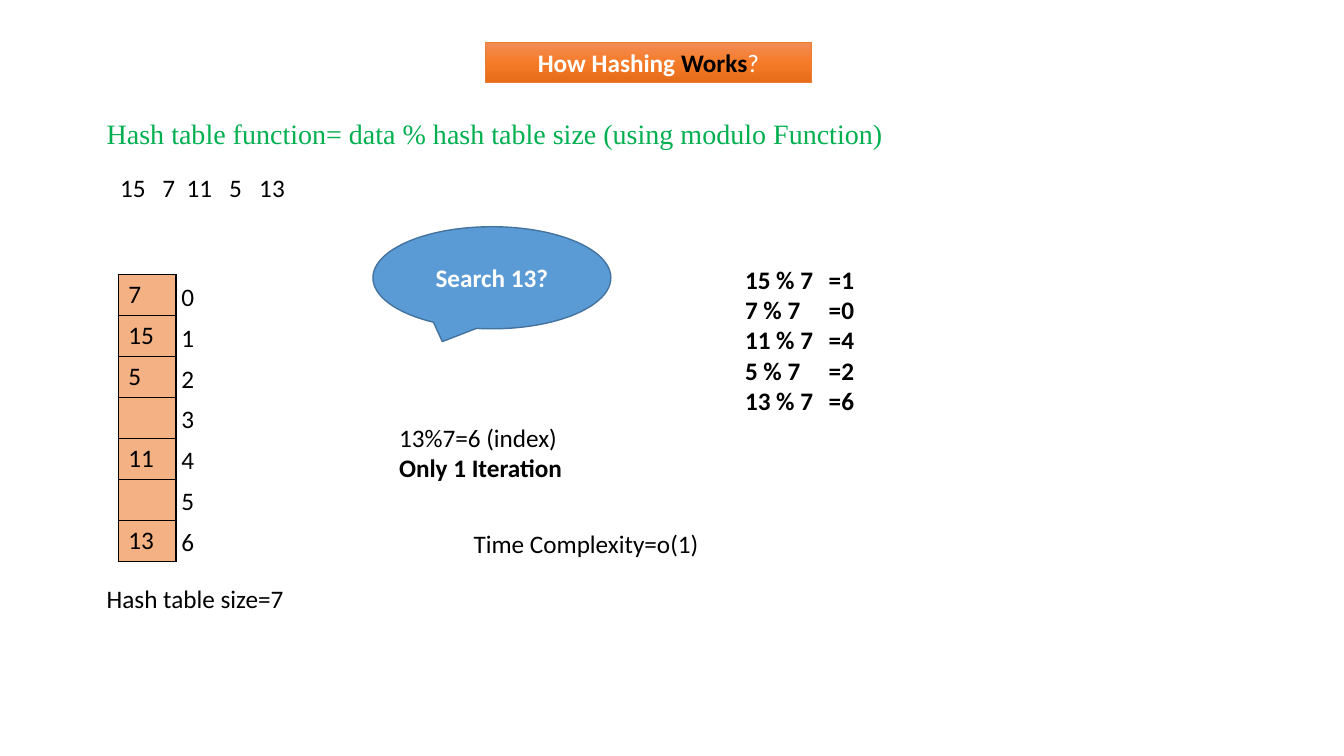
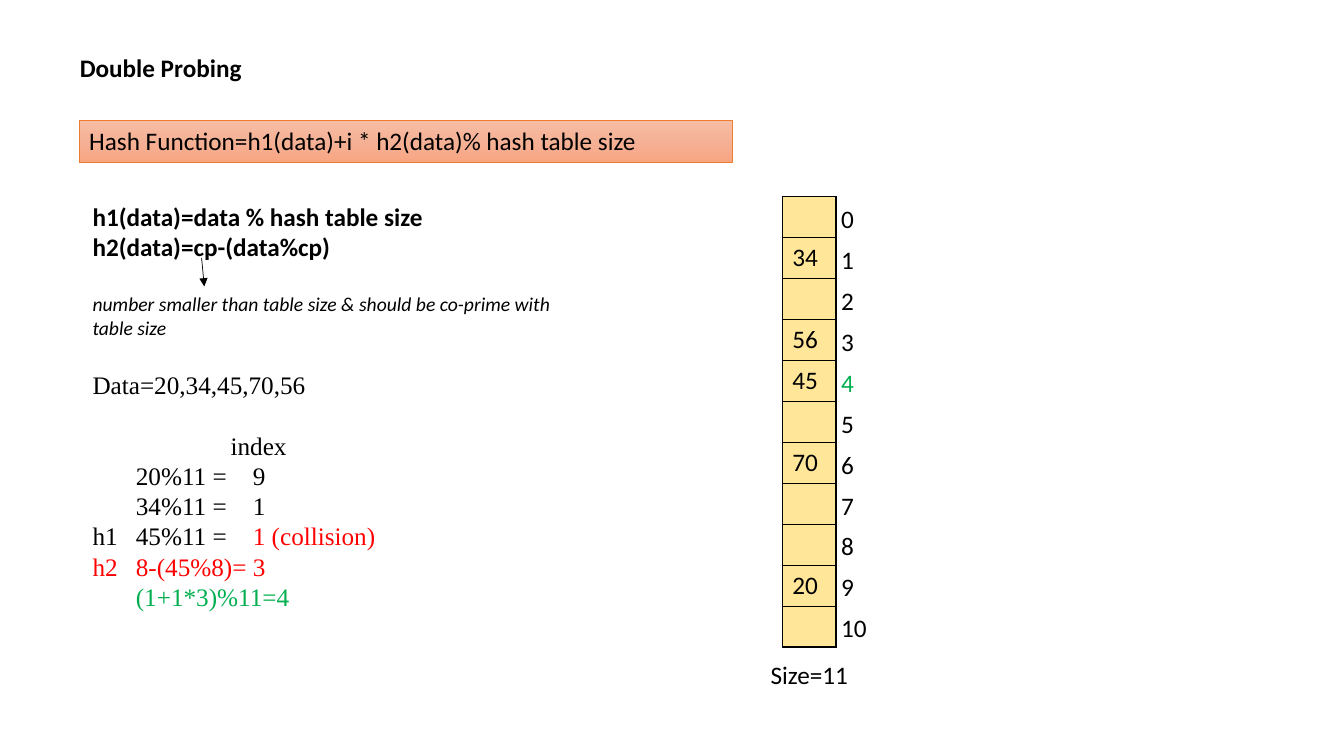
from copy import deepcopy

from lxml import etree
from pptx import Presentation
from pptx.dml.color import RGBColor
from pptx.enum.shapes import MSO_CONNECTOR, MSO_SHAPE
from pptx.enum.text import MSO_ANCHOR, PP_ALIGN
from pptx.oxml.ns import qn
from pptx.util import Inches, Pt

RECT, CALLOUT = MSO_SHAPE.RECTANGLE, MSO_SHAPE.OVAL_CALLOUT
STRAIGHT = MSO_CONNECTOR.STRAIGHT
LEFT, CENTER = PP_ALIGN.LEFT, PP_ALIGN.CENTER
TOP, MIDDLE = MSO_ANCHOR.TOP, MSO_ANCHOR.MIDDLE

BLACK = RGBColor(0x00, 0x00, 0x00)
WHITE = RGBColor(0xFF, 0xFF, 0xFF)
GREEN = RGBColor(0x00, 0xB0, 0x50)
RED = RGBColor(0xFF, 0x00, 0x00)
BLUE = RGBColor(0x5B, 0x9B, 0xD5)
BLUE_EDGE = RGBColor(0x43, 0x73, 0x9E)
ORANGE = RGBColor(0xED, 0x7D, 0x31)
PEACH = RGBColor(0xF4, 0xB1, 0x83)
YELLOW = RGBColor(0xFF, 0xE6, 0x99)
STRONG_BAND = [RGBColor(0xF1, 0x8C, 0x57), RGBColor(0xF6, 0x7B, 0x28),
               RGBColor(0xE5, 0x6C, 0x19)]
SOFT_BAND = [RGBColor(0xF7, 0xBD, 0xA5), RGBColor(0xF5, 0xB1, 0x96),
             RGBColor(0xF8, 0xA5, 0x82)]

SANS, SERIF = "Calibri", "Times New Roman"
SLIDE_W, SLIDE_H = Inches(13.33), Inches(7.5)
COL, ROW = SLIDE_W / 100, SLIDE_H / 100  # grid of 100 columns by 100 rows
CELL_H = 5.42  # rows per hash table cell
LINE_H = 5.3   # rows per one-line text box
LINE_PT = 21.6  # height of one body line in points


def place(box):
    """Turn a grid box (left, top, width, height) into slide lengths."""
    x, y, w, h = box
    return int(x * COL), int(y * ROW), int(w * COL), int(h * ROW)


def style(r, size=18, font=SANS, color=BLACK, bold=False, italic=False):
    """Format one run."""
    r.font.size, r.font.name = Pt(size), font
    r.font.bold, r.font.italic = bold, italic
    r.font.color.rgb = color


def set_tabs(p, stops):
    """Give a paragraph left tab stops, in inches."""
    tabs = etree.SubElement(p._p.get_or_add_pPr(), qn("a:tabLst"))
    for stop in stops:
        etree.SubElement(tabs, qn("a:tab"), pos=str(Inches(stop)), algn="l")


def write(tf, lines, align=LEFT, anchor=TOP, tabs=(), **base):
    """Fill a frame; a line is a string or a list of (text, format) runs."""
    tf.word_wrap = True
    tf.vertical_anchor = anchor
    for i, line in enumerate(lines):
        p = tf.add_paragraph() if i else tf.paragraphs[0]
        p.alignment = align
        for text, extra in [(line, {})] if isinstance(line, str) else line:
            r = p.add_run()
            r.text = text
            style(r, **{**base, **extra})
        if tabs:
            set_tabs(p, tabs)
    return tf


def text_box(s, box, *lines, **fmt):
    """Add a text box holding the given lines."""
    return write(s.shapes.add_textbox(*place(box)).text_frame, lines, **fmt)


def band(s, box, colors, line, **fmt):
    """Add a rectangle with a three-stop vertical gradient and one line."""
    sp = s.shapes.add_shape(RECT, *place(box))
    sp.shadow.inherit = False
    sp.fill.gradient()
    sp.fill.gradient_angle = 270
    first = next(sp._element.iter(qn("a:gs")))
    first.addnext(deepcopy(first))
    for stop, color, pos in zip(sp.fill.gradient_stops, colors, (0, 0.5, 1)):
        stop.color.rgb, stop.position = color, pos
    sp.line.color.rgb, sp.line.width = ORANGE, Pt(0.5)
    write(sp.text_frame, [line], **fmt)


def callout(s, box, line):
    """Add the blue speech bubble."""
    sp = s.shapes.add_shape(CALLOUT, *place(box))
    sp.shadow.inherit = False
    sp.fill.solid()
    sp.fill.fore_color.rgb = BLUE
    sp.line.color.rgb, sp.line.width = BLUE_EDGE, Pt(1)
    write(sp.text_frame, [line], align=CENTER, anchor=MIDDLE,
          color=WHITE, bold=True)


def arrow(s, x1, y1, x2, y2):
    """Add a thin arrow between two grid points."""
    c = s.shapes.add_connector(STRAIGHT, *place((x1, y1, x2, y2)))
    c.line.color.rgb, c.line.width = BLACK, Pt(0.5)
    etree.SubElement(c.line._get_or_add_ln(), qn("a:tailEnd"), type="triangle")
    etree.SubElement(c._element.spPr, qn("a:effectLst"))


def cell_borders(cell):
    """Draw a one-point black line on each side of a cell."""
    tcPr = cell._tc.get_or_add_tcPr()
    for i, side in enumerate(("a:lnL", "a:lnR", "a:lnT", "a:lnB")):
        ln = etree.Element(qn(side), w=str(Pt(1)))
        fill = etree.SubElement(ln, qn("a:solidFill"))
        etree.SubElement(fill, qn("a:srgbClr"), val=str(BLACK))
        tcPr.insert(i, ln)


def hash_table(s, box, slots, color, marked=None):
    """Add a one-column table with its slot indexes on the right."""
    x, y, w, h = box
    table = s.shapes.add_table(len(slots), 1, *place(box)).table
    table.first_row = table.horz_banding = False
    for i, value in enumerate(slots):
        table.rows[i].height = int(h * ROW / len(slots))
        cell = table.cell(i, 0)
        cell.fill.solid()
        cell.fill.fore_color.rgb = color
        cell_borders(cell)
        if value:
            write(cell.text_frame, [value])
        label = str(i)
        text_box(s, (x + w - 0.35, y + i * h / len(slots) + 0.2,
                     2.3 * len(label), LINE_H), label,
                 color=GREEN if i == marked else BLACK)


def worked_example(s, box):
    """Add the double probing formulas and calculations."""
    tf = text_box(
        s, box,
        [("h1(data)=data % hash table size", {"bold": True})],
        [("h2(data)=cp-(data%cp)", {"bold": True})],
        [("number smaller than table size & should be co-prime with table size",
          {"size": 14, "font": SANS, "italic": True})],
        [("Data=20,34,45,70,56", {"font": SERIF})],
        [("\tindex", {"font": SERIF})],
        *[[(t, {"font": SERIF}), (u, {"font": SERIF, "color": c})]
          for t, u, c in (("\t20%11 =", "\t9", BLACK),
                          ("\t34%11 =", "\t1", BLACK),
                          ("h1\t45%11 =", "\t1 (collision)", RED))],
        [("h2\t8-(45%8)= 3", {"font": SERIF, "color": RED})],
        [("\t(1+1*3)%11=4", {"font": SERIF, "color": GREEN})])
    note, data, index = 2, 3, 4
    for i, p in enumerate(tf.paragraphs):
        if i in (note, data, index):
            p.space_before = Pt(LINE_PT)
        if i >= data:
            p.line_spacing = Pt(LINE_PT)
        if i >= index:
            set_tabs(p, (1.37,) if i == index else (0.43, 1.59))


def hashing_slide(s):
    """Build the slide on how hashing works."""
    bold_white = {"bold": True, "color": WHITE}
    band(s, (36.15, 5.6, 24.2, LINE_H), STRONG_BAND,
         [("How Hashing ", bold_white), ("Works", {"bold": True}),
          ("?", {"color": WHITE})], align=CENTER)
    text_box(s, (7.2, 14.7, 74.9, 5.9),
             "Hash table function= data % hash table size (using modulo Function)",
             size=20, font=SERIF, color=GREEN)
    text_box(s, (8.2, 22.1, 30.5, LINE_H), "15\t7\t11\t5\t13",
             tabs=(0.42, 0.66, 1.08, 1.38))
    slots = ["7", "15", "5", "", "11", "", "13"]
    hash_table(s, (8.8, 36.3, 4.3, CELL_H * len(slots)), slots, PEACH)
    text_box(s, (7.2, 76.5, 18.5, LINE_H), "Hash table size=7")
    callout(s, (27.75, 30, 17.7, 13.5), "Search 13?")
    text_box(s, (28.95, 55.2, 25, 9.5), "13%7=6 (index)",
             [("Only 1 Iteration", {"bold": True})])
    text_box(s, (54.7, 34.3, 16.7, 21.6),
             *[f"{n} % 7\t={n % 7}" if n != 5 else "5 % 7\t=2"
               for n in (15, 7, 11, 5, 13)], bold=True, tabs=(0.83,))
    text_box(s, (34.5, 69.2, 18.5, LINE_H), "Time Complexity=o(1)")


def probing_slide(s):
    """Build the slide on double probing."""
    text_box(s, (5.2, 6.3, 26.8, LINE_H), "Double Probing", bold=True)
    band(s, (5.9, 15.9, 48.6, 5.6), SOFT_BAND,
         "Hash Function=h1(data)+i * h2(data)% hash table size")
    worked_example(s, (6.15, 26, 38, 62.4))
    arrow(s, 15, 34.1, 15.2, 37.9)
    slots = ["", "34", "", "56", "45", "", "70", "", "", "20", ""]
    hash_table(s, (58.2, 26, 4, CELL_H * len(slots)), slots, YELLOW, marked=4)
    text_box(s, (56.6, 86.5, 15.2, LINE_H), "Size=11")


prs = Presentation()
prs.slide_width, prs.slide_height = SLIDE_W, SLIDE_H
blank = prs.slide_layouts[6]
for build in (hashing_slide, probing_slide):
    build(prs.slides.add_slide(blank))
prs.save("out.pptx")
